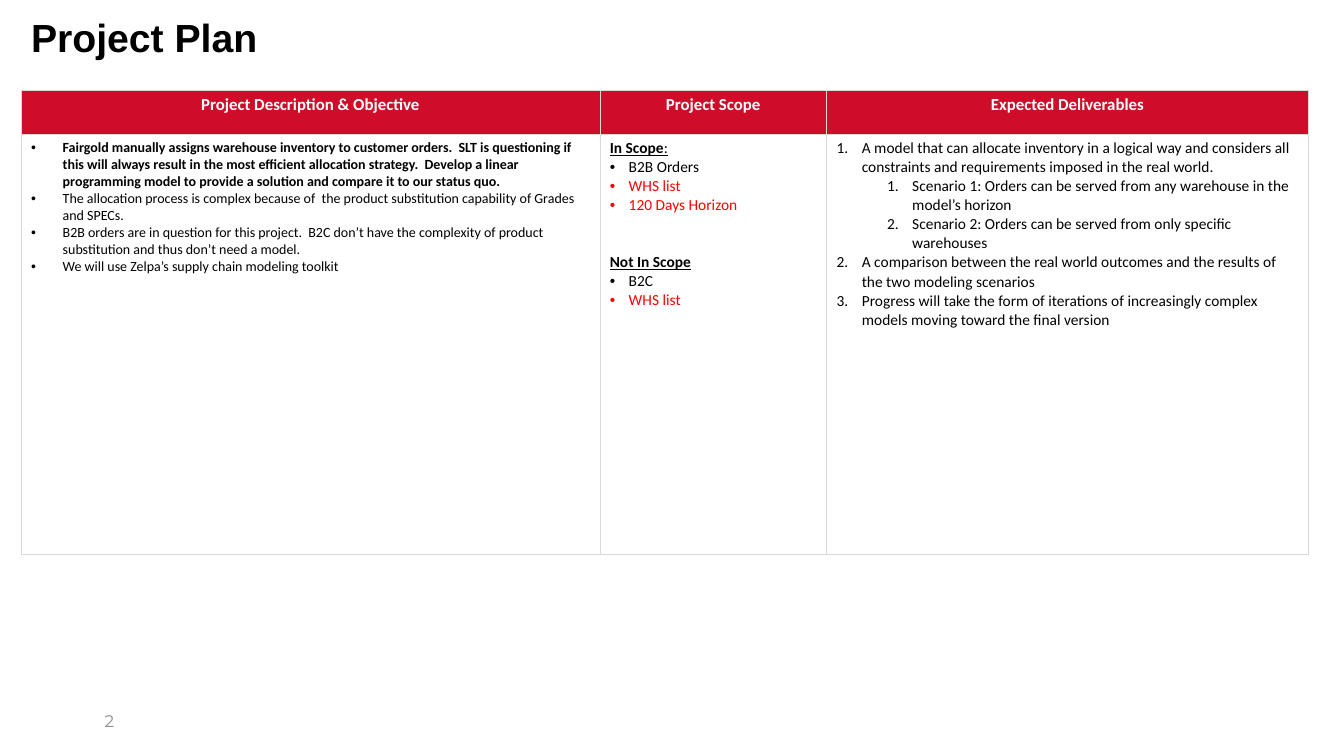
from lxml import etree
from pptx import Presentation
from pptx.dml.color import RGBColor
from pptx.enum import text
from pptx.oxml import ns
from pptx.util import Pt

COLORS = {
    "black": "000000", "white": "FFFFFF", "red": "FF0000",
    "header": "CD0D2A", "border": "D9D9D9", "number": "8C8C8C",
}
ALIGN = text.PP_ALIGN
ANCHOR = text.MSO_ANCHOR


def add_child(parent, tag, **attributes):
    return etree.SubElement(parent, ns.qn(tag), attributes)


class ProjectPage:
    """Holds the slide and its base text style, and adds each kind of element."""

    base = {"name": "Calibri", "size": 11, "bold": False, "underline": False, "color": "black"}

    def __init__(self, deck):
        self.page = deck.slides.add_slide(deck.slide_layouts[6])

    def span(self, para, words, **style):
        run = para.add_run()
        run.text = words
        style = {**self.base, **style}
        run.font.color.rgb = RGBColor.from_string(COLORS[style.pop("color")])
        style["size"] = Pt(style["size"])
        for name, value in style.items():
            setattr(run.font, name, value)

    def mark(self, para, numbered, indent, hang):
        """Give a paragraph a hanging bullet or automatic number."""
        props = para._p.get_or_add_pPr()
        props.set("marL", str(Pt(indent)))
        props.set("indent", str(-Pt(hang)))
        if numbered:
            add_child(props, "a:buFont", typeface="+mj-lt")
            add_child(props, "a:buAutoNum", type="arabicPeriod")
        else:
            add_child(props, "a:buFont", typeface="Arial")
            add_child(props, "a:buChar", char="•")

    def fill_text(self, frame, paragraphs):
        """Write paragraphs, each a dict of spans plus optional mark and format."""
        for index, content in enumerate(paragraphs):
            para = frame.add_paragraph() if index else frame.paragraphs[0]
            if "mark" in content:
                self.mark(para, *content["mark"])
            for name, value in content.get("format", {}).items():
                setattr(para, name, value)
            for words, style in content["spans"]:
                self.span(para, words, **style)

    def text_box(self, place, paragraphs, anchor):
        box = self.page.shapes.add_textbox(*map(Pt, place))
        box.text_frame.word_wrap = True
        box.text_frame.vertical_anchor = anchor
        self.fill_text(box.text_frame, paragraphs)

    def cell(self, cell, paragraphs, fill):
        props = cell._tc.get_or_add_tcPr()
        for side in "LRTB":
            line = add_child(props, f"a:ln{side}", w=str(Pt(0.25)))
            add_child(add_child(line, "a:solidFill"), "a:srgbClr", val=COLORS["border"])
        cell.fill.solid()
        cell.fill.fore_color.rgb = RGBColor.from_string(COLORS[fill])
        self.fill_text(cell.text_frame, paragraphs)

    def table(self, left, top, widths, heights, rows, fills):
        frame = self.page.shapes.add_table(
            len(heights), len(widths), Pt(left), Pt(top), Pt(sum(widths)), Pt(sum(heights)))
        table = frame.table
        table.horz_banding = False
        for column, width in zip(table.columns, widths):
            column.width = Pt(width)
        for row, height, contents, fill in zip(table.rows, heights, rows, fills):
            row.height = Pt(height)
            for cell, paragraphs in zip(row.cells, contents):
                self.cell(cell, paragraphs, fill)


def plain(words, align=ALIGN.LEFT, **style):
    return {"spans": [(words, style)], "format": {"alignment": align}}


def item(words, numbered=False, indent=13.5, hang=13.5, level=0, **style):
    return {"spans": [(words, style)], "mark": (numbered, indent, hang), "format": {"level": level}}


def objective(words, bold=False):
    return item(words, indent=22.5, hang=22.5, size=10, bold=bold)


def deliverable(words, level=0):
    return item(words, numbered=True, indent=18 + 36 * level, hang=18, level=level)


HEADERS = [
    [plain(words, ALIGN.CENTER, size=12, bold=True, color="white")]
    for words in ("Project Description & Objective", "Project Scope", "Expected Deliverables")
]
OBJECTIVES = [
    objective("Fairgold manually assigns warehouse inventory to customer orders.  SLT is questioning "
              "if this will always result in the most efficient allocation strategy.  Develop a linear "
              "programming model to provide a solution and compare it to our status quo.", bold=True),
    objective("The allocation process is complex because of  the product substitution capability "
              "of Grades and SPECs."),
    objective("B2B orders are in question for this project.  B2C don’t have the complexity of product "
              "substitution and thus don’t need a model."),
    objective("We will use Zelpa’s supply chain modeling toolkit"),
]
HEADING = {"bold": True, "underline": True}
SCOPE = [
    {"spans": [("In Scope", HEADING), (":", {"underline": True})]},
    item("B2B Orders"),
    item("WHS list", color="red"),
    item("120 Days Horizon", color="red"),
    {"spans": [("Not In Scope", HEADING)], "format": {"space_before": Pt(27)}},
    item("B2C"),
    item("WHS list", color="red"),
]
DELIVERABLES = [
    deliverable("A model that can allocate inventory in a logical way and considers all constraints "
                "and requirements imposed in the real world."),
    deliverable("Scenario 1: Orders can be served from any warehouse in the model’s horizon", level=1),
    deliverable("Scenario 2: Orders can be served from only specific warehouses", level=1),
    deliverable("A comparison between the real world outcomes and the results of the two "
                "modeling scenarios"),
    deliverable("Progress will take the form of iterations of increasingly complex models moving "
                "toward the final version"),
]


def main():
    deck = Presentation()
    deck.slide_width, deck.slide_height = Pt(960), Pt(540)
    plan = ProjectPage(deck)

    number = plain("2", ALIGN.RIGHT, name="Montserrat", size=12, color="number")
    plan.text_box((43.2, 500.4, 45.4, 28.8), [number], ANCHOR.MIDDLE)

    title = plain("Project Plan", name="Arial", size=28, bold=True)
    title["format"]["line_spacing"] = 0.9
    plan.text_box((15.1, 10.1, 910.8, 47.5), [title], ANCHOR.TOP)

    plan.table(15.1, 64.1, (413.3, 162, 344.2), (31.7, 300.2),
               (HEADERS, (OBJECTIVES, SCOPE, DELIVERABLES)), ("header", "white"))
    deck.save("out.pptx")


if __name__ == "__main__":
    main()
